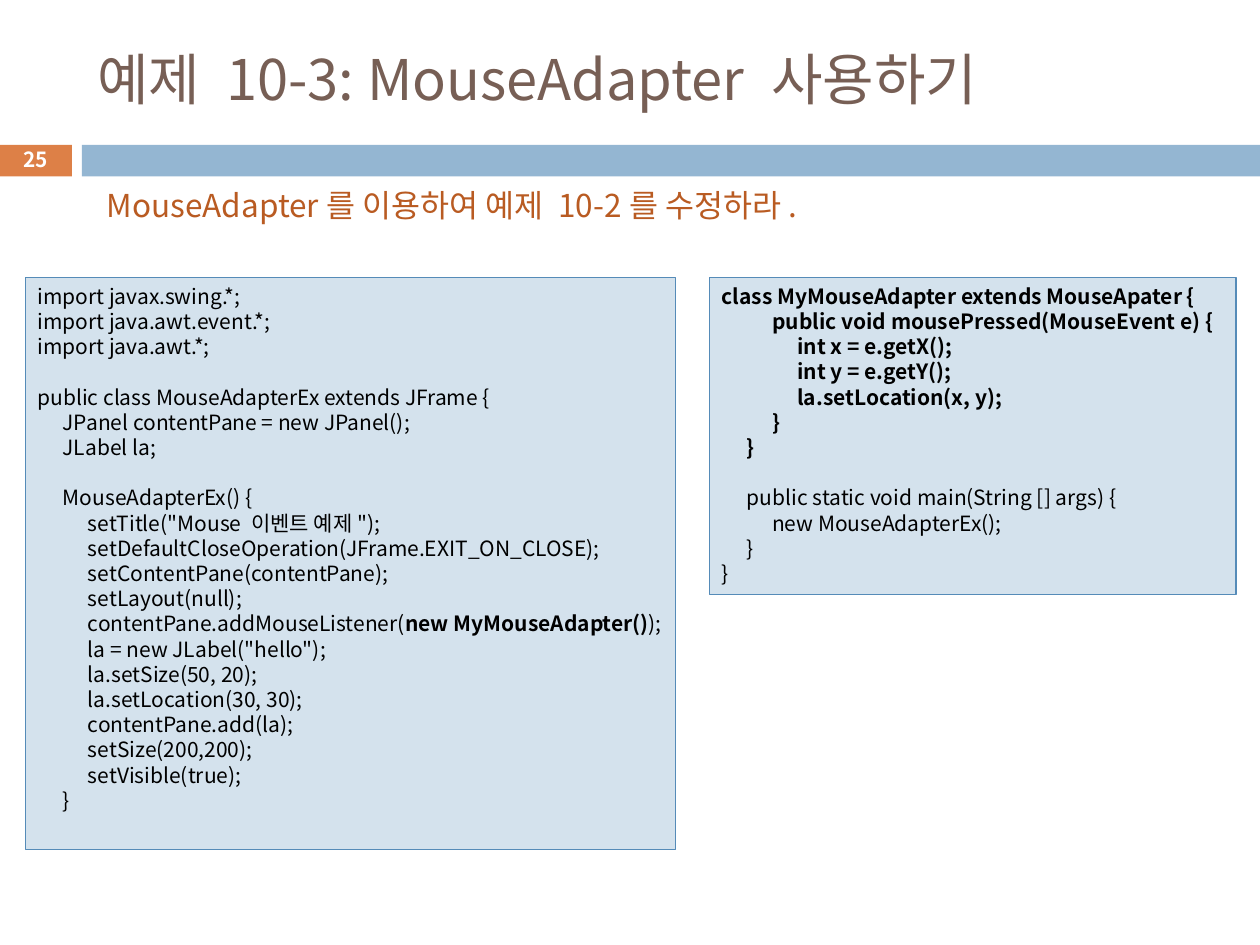
from pptx import Presentation
from pptx.dml.color import RGBColor
from pptx.enum.shapes import MSO_SHAPE
from pptx.enum.text import MSO_ANCHOR, PP_ALIGN
from pptx.oxml.ns import qn
from pptx.util import Inches, Pt

FONT = "Noto Sans CJK KR"
ORANGE = RGBColor(0xDD, 0x80, 0x47)
BLUE = RGBColor(0x94, 0xB6, 0xD2)
PALE_BLUE = RGBColor(0xD4, 0xE2, 0xED)
BORDER_BLUE = RGBColor(0x55, 0x8B, 0xB8)
BROWN = RGBColor(0x77, 0x5F, 0x55)
RUST = RGBColor(0xB9, 0x5B, 0x22)
BLACK = RGBColor(0, 0, 0)
WHITE = RGBColor(0xFF, 0xFF, 0xFF)

LINE_HEIGHT = Pt(14.4)
INDENT = Inches(0.2)

LISTENER_CODE = """\
import javax.swing.*;
import java.awt.event.*;
import java.awt.*;

public class MouseAdapterEx extends JFrame {
\tJPanel contentPane = new JPanel();
\tJLabel la;

\tMouseAdapterEx() {
\t\tsetTitle("Mouse 이벤트 예제");
\t\tsetDefaultCloseOperation(JFrame.EXIT_ON_CLOSE);
\t\tsetContentPane(contentPane);
\t\tsetLayout(null);
\t\tcontentPane.addMouseListener(**new MyMouseAdapter()**);
\t\tla = new JLabel("hello");
\t\tla.setSize(50, 20);
\t\tla.setLocation(30, 30);
\t\tcontentPane.add(la);
\t\tsetSize(200,200);
\t\tsetVisible(true);
\t}"""

ADAPTER_CODE = """\
**class MyMouseAdapter extends MouseApater {**
\t\t**public void mousePressed(MouseEvent e) {**
\t\t\t**int x = e.getX();**
\t\t\t**int y = e.getY();**
\t\t\t**la.setLocation(x, y);**
\t\t**}**
\t**}**

\tpublic static void main(String [] args) {
\t\tnew MouseAdapterEx();
\t}
}"""


def add_run(paragraph, text, size, color, bold=False):
    run = paragraph.add_run()
    run.text = text
    for name, value in {"name": FONT, "size": Pt(size), "bold": bold}.items():
        setattr(run.font, name, value)
    run.font.color.rgb = color
    east_asian = run.font._element.makeelement(qn("a:ea"), {"typeface": FONT})
    run.font._element.append(east_asian)


def add_rectangle(left, top, width, height, fill):
    shape = slide.shapes.add_shape(
        MSO_SHAPE.RECTANGLE, Inches(left), Inches(top), Inches(width), Inches(height))
    shape.shadow.inherit = False
    shape.fill.solid()
    shape.fill.fore_color.rgb = fill
    shape.line.fill.background()
    return shape


presentation = Presentation()
presentation.slide_width = Inches(10)
presentation.slide_height = Inches(7.5)
slide = presentation.slides.add_slide(presentation.slide_layouts[5])

# Header band
add_rectangle(-0.01, 1.15, 0.58, 0.25, ORANGE)
add_rectangle(0.65, 1.15, 9.35, 0.25, BLUE)

# Title, page number and task
title = slide.shapes.title
number = slide.shapes.add_textbox(0, 0, 0, 0)
task = slide.shapes.add_textbox(0, 0, 0, 0)
for shape, box, text, size, color, bold, align, anchor in [
    (title, (0.67, 0.25, 8.92, 0.74), "예제 10-3: MouseAdapter 사용하기",
     32, BROWN, False, PP_ALIGN.LEFT, MSO_ANCHOR.MIDDLE),
    (number, (-0.01, 1.13, 0.58, 0.27), "25",
     11.9, WHITE, True, PP_ALIGN.CENTER, MSO_ANCHOR.MIDDLE),
    (task, (0.75, 1.43, 6.2, 0.4), "MouseAdapter를 이용하여 예제 10-2를 수정하라.",
     18, RUST, False, PP_ALIGN.LEFT, MSO_ANCHOR.TOP),
]:
    for name, value in zip(("left", "top", "width", "height"), box):
        setattr(shape, name, Inches(value))
    shape.text_frame.word_wrap = True
    shape.text_frame.vertical_anchor = anchor
    paragraph = shape.text_frame.paragraphs[0]
    paragraph.alignment = align
    add_run(paragraph, text, size, color, bold)

# Code panels: tabs set the indent, ** marks bold, an empty line becomes space before
for left, width, height, code in [
    (0.2, 5.16, 4.54, LISTENER_CODE),
    (5.63, 4.18, 2.52, ADAPTER_CODE),
]:
    panel = add_rectangle(left, 2.2, width, height, PALE_BLUE)
    panel.line.color.rgb = BORDER_BLUE
    panel.line.width = Pt(0.75)
    frame = panel.text_frame
    for name, value in {"word_wrap": True, "vertical_anchor": MSO_ANCHOR.TOP,
                        "margin_right": 0}.items():
        setattr(frame, name, value)
    paragraph = frame.paragraphs[0]
    for block_index, block in enumerate(code.split("\n\n")):
        for line_index, line in enumerate(block.split("\n")):
            if block_index or line_index:
                paragraph = frame.add_paragraph()
            starts_block = block_index > 0 and line_index == 0
            for name, value in {"alignment": PP_ALIGN.LEFT, "line_spacing": LINE_HEIGHT,
                                "space_before": LINE_HEIGHT if starts_block else Pt(0)}.items():
                setattr(paragraph, name, value)
            properties = paragraph._p.get_or_add_pPr()
            properties.set("marL", str(INDENT * line.count("\t")))
            properties.set("indent", "0")
            for part_index, part in enumerate(line.strip("\t").split("**")):
                if part:
                    add_run(paragraph, part, 12, BLACK, part_index % 2 == 1)

presentation.save("out.pptx")
